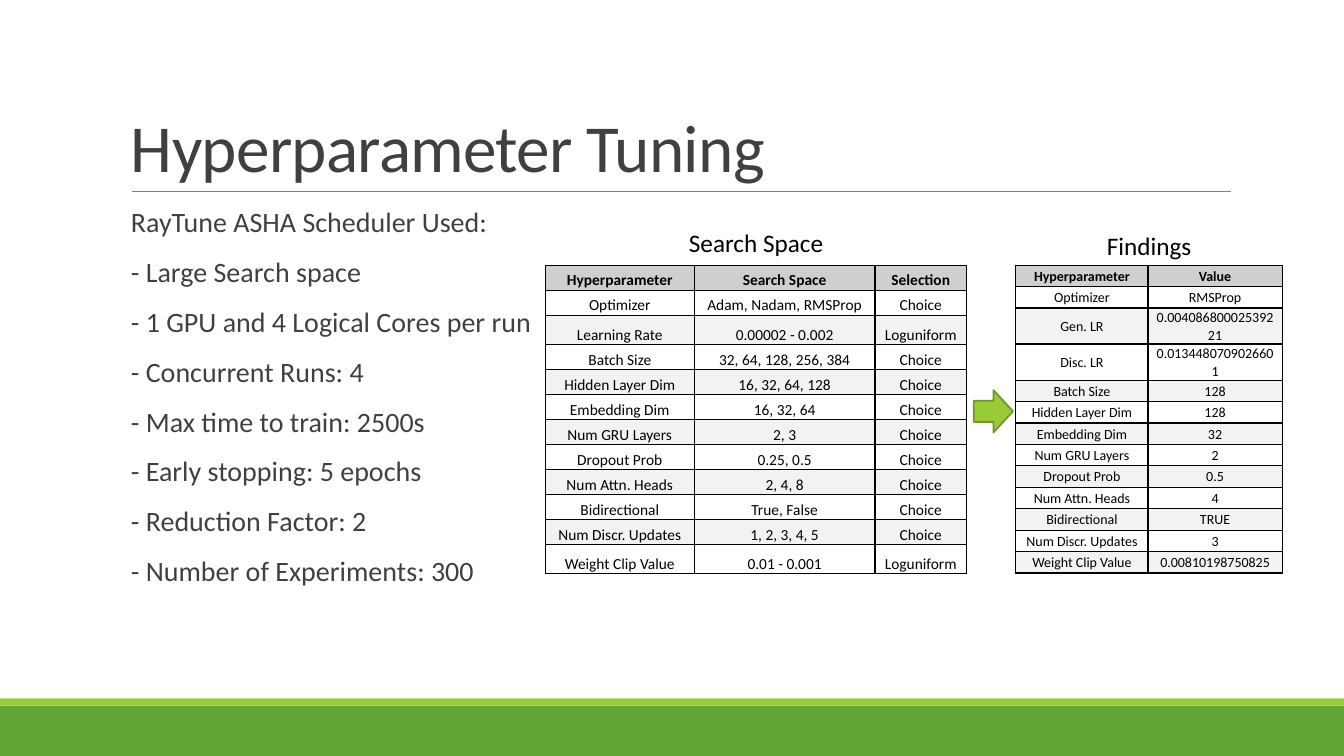
from dataclasses import dataclass

from lxml import etree
from pptx import Presentation
from pptx import util as u
from pptx.dml.color import RGBColor
from pptx.enum import shapes, text
from pptx.oxml import ns

Cm, Pt = u.Cm, u.Pt


@dataclass(frozen=True)
class Theme:
    font: str = "Calibri"
    dark_green: str = "63A537"
    lime: str = "99CB38"
    arrow_edge: str = "719629"
    rule: str = "808080"
    heading: str = "404040"
    black: str = "000000"
    header_fill: str = "D0CECE"
    band_fill: str = "F2F2F2"
    title_size: int = 48
    body_size: int = 20
    caption_size: int = 18
    search_size: int = 11
    findings_size: int = 10


THEME = Theme()

NOTES = [
    "RayTune ASHA Scheduler Used:",
    "- Large Search space",
    "- 1 GPU and 4 Logical Cores per run",
    "- Concurrent Runs: 4",
    "- Max time to train: 2500s",
    "- Early stopping: 5 epochs",
    "- Reduction Factor: 2",
    "- Number of Experiments: 300",
]

SEARCH_SPACE = [
    ("Hyperparameter", "Search Space", "Selection"),
    ("Optimizer", "Adam, Nadam, RMSProp", "Choice"),
    ("Learning Rate", "0.00002 - 0.002", "Loguniform"),
    ("Batch Size", "32, 64, 128, 256, 384", "Choice"),
    ("Hidden Layer Dim", "16, 32, 64, 128", "Choice"),
    ("Embedding Dim", "16, 32, 64", "Choice"),
    ("Num GRU Layers", "2, 3", "Choice"),
    ("Dropout Prob", "0.25, 0.5", "Choice"),
    ("Num Attn. Heads", "2, 4, 8", "Choice"),
    ("Bidirectional", "True, False", "Choice"),
    ("Num Discr. Updates", "1, 2, 3, 4, 5", "Choice"),
    ("Weight Clip Value", "0.01 - 0.001", "Loguniform"),
]

FINDINGS = [
    ("Hyperparameter", "Value"),
    ("Optimizer", "RMSProp"),
    ("Gen. LR", "0.00408680002539221"),
    ("Disc. LR", "0.0134480709026601"),
    ("Batch Size", "128"),
    ("Hidden Layer Dim", "128"),
    ("Embedding Dim", "32"),
    ("Num GRU Layers", "2"),
    ("Dropout Prob", "0.5"),
    ("Num Attn. Heads", "4"),
    ("Bidirectional", "TRUE"),
    ("Num Discr. Updates", "3"),
    ("Weight Clip Value", "0.00810198750825"),
]


def rgb(color):
    return RGBColor.from_string(color)


def style_font(font, size, color, bold=False):
    font.name = THEME.font
    font.size = Pt(size)
    font.bold = bold
    font.color.rgb = rgb(color)


def add_block(slide, kind, left, top, width, height, fill, edge=None):
    shape = slide.shapes.add_shape(kind, Cm(left), Cm(top), Cm(width), Cm(height))
    shape.shadow.inherit = False
    shape.fill.solid()
    shape.fill.fore_color.rgb = rgb(fill)
    if edge:
        shape.line.color.rgb = rgb(edge)
        shape.line.width = Pt(1.25)
    else:
        shape.line.fill.background()


def add_rule(slide, left, right, top):
    line = slide.shapes.add_connector(
        shapes.MSO_CONNECTOR.STRAIGHT, Cm(left), Cm(top), Cm(right), Cm(top))
    line.line.color.rgb = rgb(THEME.rule)
    line.line.width = Pt(0.5)
    etree.SubElement(line._element.spPr, ns.qn("a:effectLst"))


def add_text(slide, left, top, width, height, lines, size, color,
             align=text.PP_ALIGN.LEFT, anchor=text.MSO_ANCHOR.TOP,
             line_spacing=1.0, before=0, after=0):
    box = slide.shapes.add_textbox(Cm(left), Cm(top), Cm(width), Cm(height))
    frame = box.text_frame
    frame.word_wrap = True
    frame.vertical_anchor = anchor
    frame.text = "\n".join(lines)
    for paragraph in frame.paragraphs:
        paragraph.alignment = align
        paragraph.line_spacing = line_spacing
        paragraph.space_before = Pt(before)
        paragraph.space_after = Pt(after)
        style_font(paragraph.font, size, color)
    return frame


def add_title(slide, title):
    frame = add_text(slide, 3.05, 0.79, 27.94, 4.04, [title], THEME.title_size,
                     THEME.heading, anchor=text.MSO_ANCHOR.BOTTOM, line_spacing=0.85)
    # Tighter letter spacing, in hundredths of a point
    frame.paragraphs[0].runs[0]._r.get_or_add_rPr().set("spc", "-50")


def add_caption(slide, left, top, width, caption):
    add_text(slide, left, top, width, 1.02, [caption], THEME.caption_size,
             THEME.black, align=text.PP_ALIGN.CENTER)


def add_borders(cell):
    properties = cell._tc.get_or_add_tcPr()
    for index, side in enumerate(("lnL", "lnR", "lnT", "lnB")):
        line = etree.Element(ns.qn(f"a:{side}"), w=str(Pt(1)))
        fill = etree.SubElement(line, ns.qn("a:solidFill"))
        etree.SubElement(fill, ns.qn("a:srgbClr"), val=THEME.black)
        properties.insert(index, line)


def fill_cell(cell, value, row, size, anchor):
    cell.text = value
    cell.vertical_anchor = anchor
    cell.margin_left = cell.margin_right = Cm(0.18)
    cell.margin_top = cell.margin_bottom = 0
    paragraph = cell.text_frame.paragraphs[0]
    paragraph.alignment = text.PP_ALIGN.CENTER
    paragraph.line_spacing = 1.07
    style_font(paragraph.font, size, THEME.black, bold=row == 0)
    # Grey header, then every second row banded
    if row % 2:
        cell.fill.background()
    else:
        cell.fill.solid()
        cell.fill.fore_color.rgb = rgb(THEME.band_fill if row else THEME.header_fill)
    add_borders(cell)


def add_grid(slide, left, top, rows, widths, row_height, tall_height, tall_rows,
             size, anchor):
    heights = [tall_height if row in tall_rows else row_height for row in range(len(rows))]
    table = slide.shapes.add_table(len(rows), len(widths), Cm(left), Cm(top),
                                   Cm(sum(widths)), Cm(sum(heights))).table
    table.first_row = table.horz_banding = False
    for column, width in zip(table.columns, widths):
        column.width = Cm(width)
    for row, values in enumerate(rows):
        table.rows[row].height = Cm(heights[row])
        for column, value in enumerate(values):
            fill_cell(table.cell(row, column), value, row, size, anchor)


def main():
    presentation = Presentation()
    presentation.slide_width, presentation.slide_height = Cm(33.87), Cm(19.05)
    slide = presentation.slides.add_slide(presentation.slide_layouts[6])

    # Footer bands and title rule
    rectangle = shapes.MSO_SHAPE.RECTANGLE
    add_block(slide, rectangle, 0, 17.78, 33.87, 1.27, THEME.dark_green)
    add_block(slide, rectangle, 0, 17.6, 33.87, 0.18, THEME.lime)
    add_rule(slide, 3.33, 31.01, 4.83)

    # Title and scheduler settings
    add_title(slide, "Hyperparameter Tuning")
    add_text(slide, 3.05, 5.13, 27.94, 11.18, NOTES, THEME.body_size, THEME.heading,
             line_spacing=0.9, before=12, after=2)

    # Search space
    add_grid(slide, 13.74, 6.68, SEARCH_SPACE, (3.76, 4.55, 2.31), 0.63, 0.74, (2, 11),
             THEME.search_size, text.MSO_ANCHOR.BOTTOM)
    add_caption(slide, 14.76, 5.61, 8.59, "Search Space")

    # Findings
    add_grid(slide, 25.6, 6.68, FINDINGS, (3.33, 3.38), 0.54, 0.91, (2, 3),
             THEME.findings_size, text.MSO_ANCHOR.MIDDLE)
    add_caption(slide, 27.41, 5.69, 3.1, "Findings")
    add_block(slide, shapes.MSO_SHAPE.RIGHT_ARROW, 24.54, 9.83, 0.99, 1.07,
              THEME.lime, THEME.arrow_edge)

    presentation.save("out.pptx")


if __name__ == "__main__":
    main()
